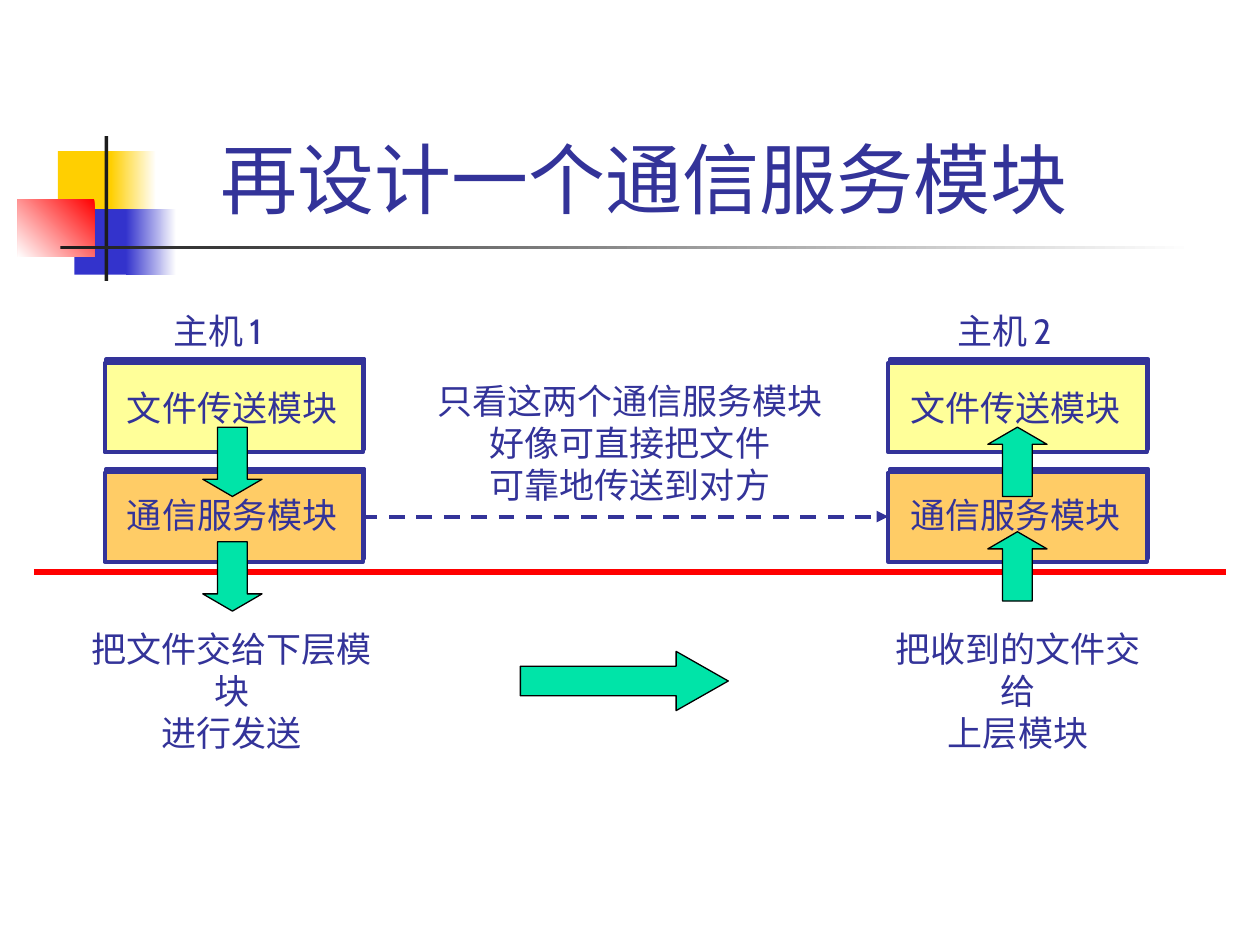
import pptx
import pptx.util
import pptx.dml.color
import pptx.enum.dml
import pptx.enum.shapes
import pptx.enum.text
import pptx.oxml
import pptx.oxml.ns

Inches = pptx.util.Inches
Pt = pptx.util.Pt
KIND = pptx.enum.shapes.MSO_SHAPE
ALIGN = pptx.enum.text.PP_ALIGN
FIT = pptx.enum.text.MSO_AUTO_SIZE

HEX = {
    "white": "FFFFFF", "gold": "FFCF01", "blue": "3333CC", "red": "FF0000",
    "dark": "1C1C1C", "navy": "333399", "orange": "FFCC66",
    "yellow": "FFFF99", "green": "00E4A8", "black": "000000",
}


def color(name):
    return pptx.dml.color.RGBColor.from_string(HEX[name])


def add_xml(parent, tag, body="", **attrs):
    """Append a DrawingML element to the parent."""
    space = pptx.oxml.ns.nsdecls("a")
    pairs = " ".join(f'{key}="{value}"' for key, value in attrs.items())
    node = pptx.oxml.parse_xml(f"<a:{tag} {space} {pairs}>{body}</a:{tag}>")
    parent.append(node)
    return node


def add_form(slide, kind, box, fill, edge=None, width=0):
    form = slide.shapes.add_shape(kind, *map(Inches, box))
    form.shadow.inherit = False
    form.fill.solid()
    form.fill.fore_color.rgb = color(fill)
    if edge:
        form.line.color.rgb = color(edge)
        form.line.width = Pt(width)
    else:
        form.line.fill.background()
    return form


def add_fade(slide, box, name, angle=0):
    """Add a block that fades from a colour to white."""
    form = add_form(slide, KIND.RECTANGLE, box, name)
    form.fill.gradient()
    form.fill.gradient_angle = angle
    for stop, tone in zip(form.fill.gradient_stops, (name, "white")):
        stop.color.rgb = color(tone)


def add_card(slide, left, top, fill):
    """Add a module box with a hard shadow towards the upper right."""
    card = add_form(slide, KIND.RECTANGLE, (left, top, 2.05, 0.71),
                    fill, "navy", 2.25)
    effects = card._element.spPr.find(pptx.oxml.ns.qn("a:effectLst"))
    add_xml(effects, "outerShdw", f'<a:srgbClr val="{HEX["navy"]}"/>',
            blurRad=0, dist=Pt(2.2), dir=296 * 60000, algn="ctr",
            rotWithShape=0)


def add_arrow(slide, kind, box, head):
    arrow = add_form(slide, kind, box, "green", "black", 0.75)
    arrow.adjustments[0] = 0.5
    arrow.adjustments[1] = head


def add_run(para, text, size, font="Cabin"):
    run = para.add_run()
    run.text = text
    run.font.size = Pt(size)
    run.font.name = font
    run.font.color.rgb = color("navy")


def add_text(slide, box, lines, align=ALIGN.LEFT):
    """Add a text box; each line is a list of (text, size) runs."""
    frame = slide.shapes.add_textbox(*map(Inches, box)).text_frame
    frame.word_wrap = False
    frame.auto_size = FIT.SHAPE_TO_FIT_TEXT
    for index, runs in enumerate(lines):
        para = frame.add_paragraph() if index else frame.paragraphs[0]
        para.alignment = align
        for text, size in runs:
            add_run(para, text, size)


def add_note(slide, box, *lines):
    add_text(slide, box, [[(line, 20)] for line in lines], ALIGN.CENTER)


def add_line(slide, start, end, y, name, width):
    line = slide.shapes.add_connector(
        pptx.enum.shapes.MSO_CONNECTOR.STRAIGHT,
        Inches(start), Inches(y), Inches(end), Inches(y))
    line.line.color.rgb = color(name)
    line.line.width = Pt(width)
    add_xml(line._element.spPr, "effectLst")
    return line


def add_decor(slide):
    add_form(slide, KIND.RECTANGLE, (0.46, 1.2, 0.48, 0.52), "gold")
    add_fade(slide, (0.88, 1.2, 0.36, 0.52), "gold")
    add_form(slide, KIND.RECTANGLE, (0.59, 1.66, 0.46, 0.52), "blue")
    add_fade(slide, (1, 1.66, 0.4, 0.52), "blue")
    add_fade(slide, (0.14, 1.58, 0.61, 0.46), "red", 225)
    add_form(slide, KIND.RECTANGLE, (0.83, 1.08, 0.03, 1.15), "dark")
    add_fade(slide, (0.48, 1.95, 9, 0.03), "dark")


def set_title(slide, text):
    title = slide.shapes.title
    title.left, title.top = Inches(1.26), Inches(0.23)
    title.width, title.height = Inches(7.84), Inches(1.6)
    frame = title.text_frame
    frame.auto_size = FIT.NONE
    frame.vertical_anchor = pptx.enum.text.MSO_ANCHOR.BOTTOM
    frame.paragraphs[0].alignment = ALIGN.CENTER
    add_run(frame.paragraphs[0], text, 44, "Arial")


def add_host(slide, left, number):
    """Add one host: its label above two stacked modules."""
    add_card(slide, left, 3.75, "orange")
    add_card(slide, left, 2.88, "yellow")
    add_text(slide, (left + 0.45, 2.41, 1, 0.44),
             [[("主机", 20), (" ", 14), (number, 20)]])
    for top, name in ((3.02, "文件传送模块"), (3.87, "通信服务模块")):
        add_text(slide, (left + 0.08, top, 1.87, 0.44), [[(name, 20)]])


def main():
    deck = pptx.Presentation()
    deck.slide_width, deck.slide_height = Inches(10), Inches(7.5)
    slide = deck.slides.add_slide(deck.slide_layouts[5])

    add_decor(slide)
    set_title(slide, "再设计一个通信服务模块 ")

    # Hosts
    add_host(slide, 0.83, "1")
    add_host(slide, 7.05, "2")

    # Virtual link between the service modules
    link = add_line(slide, 2.87, 7.05, 4.1, "navy", 2.25)
    link.line.dash_style = pptx.enum.dml.MSO_LINE.DASH
    add_xml(link.line._get_or_add_ln(), "tailEnd", type="triangle")
    add_note(slide, (3.37, 2.96, 3.26, 1.1), "只看这两个通信服务模块",
             "好像可直接把文件", "可靠地传送到对方")

    # Border to the lower layer
    add_line(slide, 0.27, 9.73, 4.54, "red", 3)
    add_note(slide, (0.49, 4.93, 2.7, 0.77), "把文件交给下层模块", "进行发送")
    add_note(slide, (6.87, 4.93, 2.42, 0.77), "把收到的文件交给", "上层模块")

    # Real path of the file
    for kind, left, tops in ((KIND.DOWN_ARROW, 1.61, (3.39, 4.3)),
                             (KIND.UP_ARROW, 7.84, (3.39, 4.22))):
        for top in tops:
            add_arrow(slide, kind, (left, top, 0.47, 0.55), 0.29)
    add_arrow(slide, KIND.RIGHT_ARROW, (4.13, 5.17, 1.65, 0.47), 0.88)

    deck.save("out.pptx")


if __name__ == "__main__":
    main()
